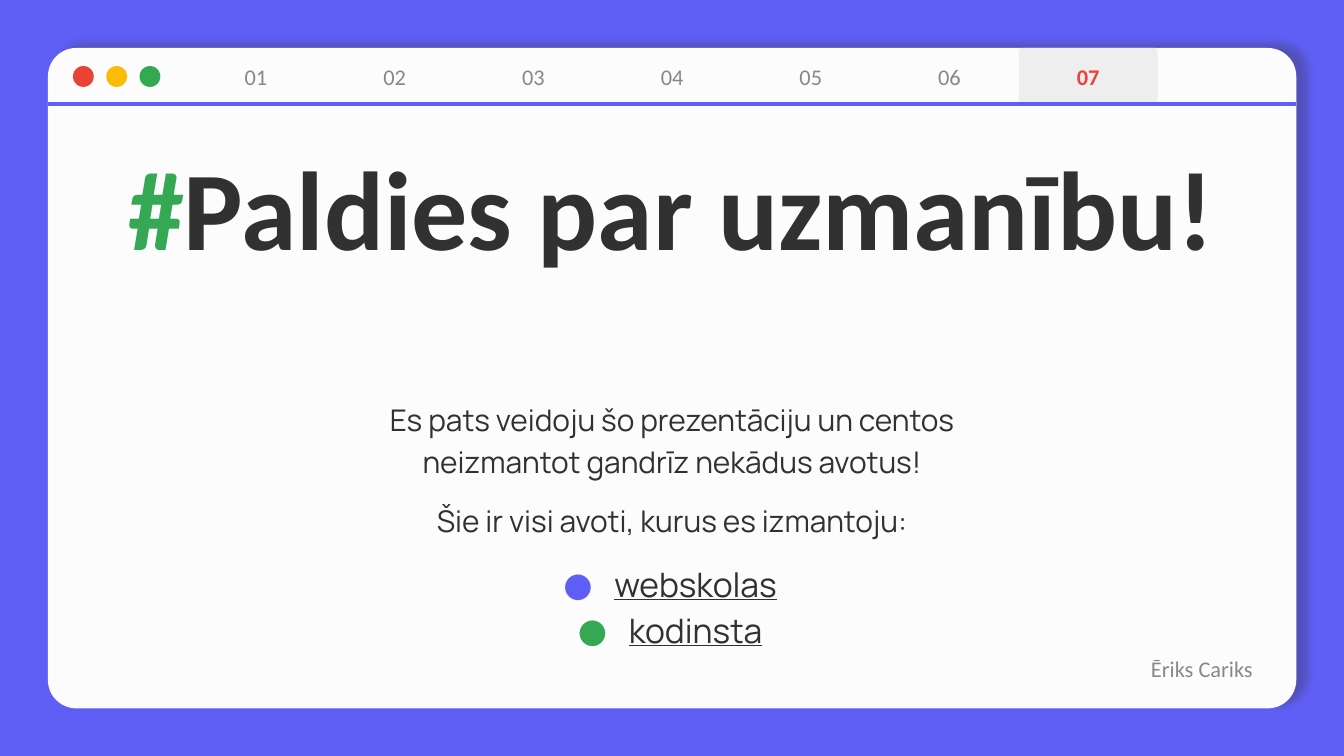
from lxml.etree import SubElement
from pptx import Presentation
from pptx.dml.color import RGBColor
from pptx.enum.shapes import MSO_CONNECTOR, MSO_SHAPE
from pptx.enum.text import MSO_ANCHOR as Anchor, MSO_AUTO_SIZE as AutoSize, PP_ALIGN as Align
from pptx.oxml.ns import qn
from pptx.util import Inches, Pt

INDIGO = RGBColor(0x5F, 0x5F, 0xF5)
PAPER = RGBColor(0xFC, 0xFC, 0xFC)
INK = RGBColor(0x31, 0x31, 0x31)
GREY = RGBColor(0x88, 0x88, 0x88)
PALE = RGBColor(0xEE, 0xEE, 0xEE)
RED = RGBColor(0xEA, 0x43, 0x35)
YELLOW = RGBColor(0xFB, 0xBC, 0x05)
GREEN = RGBColor(0x34, 0xA8, 0x53)

MARGIN, COLUMN, ROW = 0.357, 1.032, 0.42
COLUMNS, ROWS = 9, 11.7
HEADING_FONT, BODY_FONT = "Calibri", "Manrope"


class BrowserSlide:
    """Draws browser-window elements on a grid of columns and rows."""

    def __init__(self, presentation):
        self.slide = presentation.slides.add_slide(presentation.slide_layouts[1])
        self.shapes = self.slide.shapes
        self.slide.background.fill.solid()
        self.slide.background.fill.fore_color.rgb = INDIGO

    def box(self, column, row, columns, rows):
        return (Inches(MARGIN + column * COLUMN), Inches(MARGIN + row * ROW),
                Inches(columns * COLUMN), Inches(rows * ROW))

    def style(self, paragraph, size, color, font=HEADING_FONT, bold=False):
        paragraph.alignment = Align.CENTER
        paragraph.font.name = font
        paragraph.font.size = Pt(size)
        paragraph.font.bold = bold
        paragraph.font.color.rgb = color

    def panel(self, kind, box, fill=None, corner=None, parent=None):
        shape = (parent or self.shapes).add_shape(kind, *self.box(*box))
        shape.shadow.inherit = False
        shape.line.fill.background()
        if fill is None:
            shape.fill.background()
        else:
            shape.fill.solid()
            shape.fill.fore_color.rgb = fill
        if corner is not None:
            shape.adjustments[0] = corner
        return shape

    def window(self):
        shape = self.panel(MSO_SHAPE.ROUNDED_RECTANGLE, (0, 0, COLUMNS, ROWS), PAPER, 0.043)
        effects = shape._element.spPr.find(qn("a:effectLst"))
        shadow = SubElement(effects, qn("a:outerShdw"), blurRad=str(Pt(4.5)), dist=str(Pt(6)),
                            dir=str(342 * 60000), algn="bl", rotWithShape="0")
        color = SubElement(shadow, qn("a:srgbClr"), val=str(INK))
        SubElement(color, qn("a:alpha"), val="30000")

    def label(self, text, column, row, corner=0.06, active=False):
        shape = self.panel(MSO_SHAPE.ROUNDED_RECTANGLE, (column, row, 1, 1),
                           PALE if active else None, corner)
        frame = shape.text_frame
        frame.margin_left = frame.margin_right = frame.margin_top = frame.margin_bottom = 0
        frame.vertical_anchor = Anchor.MIDDLE
        frame.text = text
        self.style(frame.paragraphs[0], 12, RED if active else GREY, bold=active)

    def window_buttons(self, colors):
        group = self.shapes.add_group_shape()
        for index, color in enumerate(colors):
            self.panel(MSO_SHAPE.OVAL, (0.18 + 0.24 * index, 0.32, 0.15, 0.37), color,
                       parent=group.shapes)

    def divider(self, row):
        left, top, width, _ = self.box(0, row, COLUMNS, 0)
        line = self.shapes.add_connector(MSO_CONNECTOR.STRAIGHT, left, top, left + width, top)
        line.line.color.rgb = INDIGO
        line.line.width = Pt(2.25)
        SubElement(line._element.spPr, qn("a:effectLst"))

    def text_area(self, placeholder, box):
        placeholder.left, placeholder.top, placeholder.width, placeholder.height = self.box(*box)
        frame = placeholder.text_frame
        frame.margin_left = frame.margin_right = Inches(0.1)
        frame.margin_top = frame.margin_bottom = Inches(0.1)
        frame.word_wrap = True
        frame.auto_size = AutoSize.NONE
        frame.vertical_anchor = Anchor.TOP
        return frame

    def title(self, pieces, box):
        paragraph = self.text_area(self.shapes.title, box).paragraphs[0]
        paragraph.line_spacing = 0.8
        self.style(paragraph, 60, INK, bold=True)
        for text, color in pieces:
            run = paragraph.add_run()
            run.text = text
            run.font.color.rgb = color

    def body(self, entries, box):
        frame = self.text_area(self.slide.placeholders[1], box)
        frame.text = "\n".join(text for text, *_ in entries)
        for paragraph, (_, size, space, bullet) in zip(frame.paragraphs, entries):
            paragraph.line_spacing = 1.15
            paragraph.space_before = Pt(space)
            self.bullet(paragraph, bullet)
            self.style(paragraph, size, INK, BODY_FONT)
            paragraph.font.underline = bullet is not None

    def bullet(self, paragraph, color):
        properties = paragraph._p.get_or_add_pPr()
        properties.set("marL", str(Inches(0.35) if color else 0))
        properties.set("indent", str(Inches(-0.38) if color else 0))
        if color:
            bullet_color = SubElement(properties, qn("a:buClr"))
            SubElement(bullet_color, qn("a:srgbClr"), val=str(color))
            SubElement(properties, qn("a:buFont"), typeface=BODY_FONT)
            SubElement(properties, qn("a:buChar"), char="●")
        else:
            SubElement(properties, qn("a:buNone"))


def main():
    presentation = Presentation()
    presentation.slide_width, presentation.slide_height = Inches(10), Inches(5.625)
    page = BrowserSlide(presentation)
    page.window()
    for number in range(1, 8):
        page.label(f"{number:02}", number, 0, active=number == 7)
    page.window_buttons([RED, YELLOW, GREEN])
    page.divider(1)
    page.title([("#", GREEN), ("Paldies par uzmanību!", INK)], (0.42, 1.82, 8.15, 3.81))
    page.body([
        ("Es pats veidoju šo prezentāciju un centos neizmantot gandrīz nekādus avotus!",
         16, 0, None),
        ("Šie ir visi avoti, kurus es izmantoju:", 16, 10, None),
        ("webskolas", 18, 10, INDIGO),
        ("kodinsta", 18, 0, GREEN),
    ], (2.16, 5.94, 4.68, 4.88))
    page.label("Ēriks Cariks", 7.82, 10.5, corner=0)
    for layer in ("title", "body"):
        placeholder = page.shapes.title if layer == "title" else page.slide.placeholders[1]
        page.shapes._spTree.append(placeholder._element)
    presentation.save("out.pptx")


if __name__ == "__main__":
    main()
